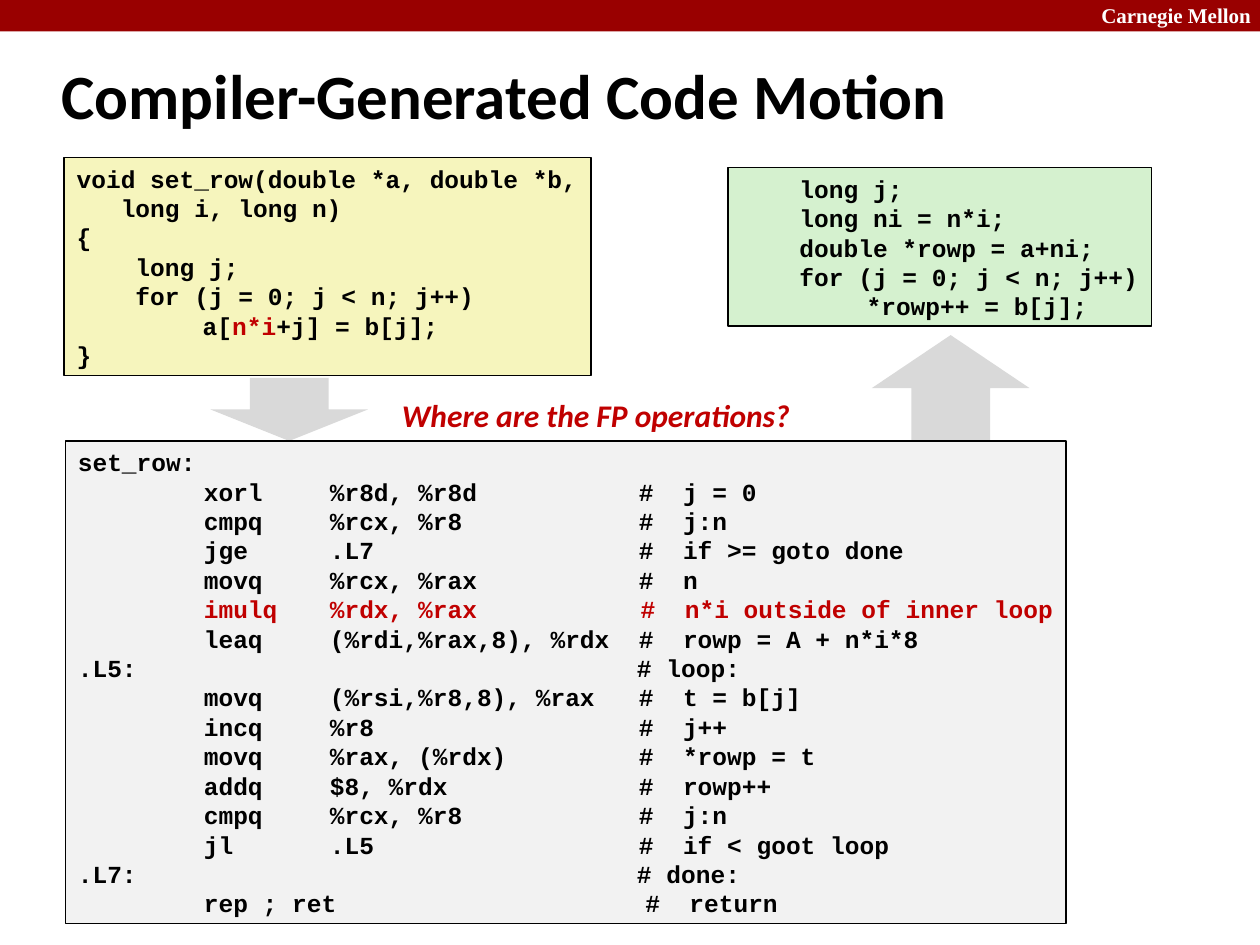
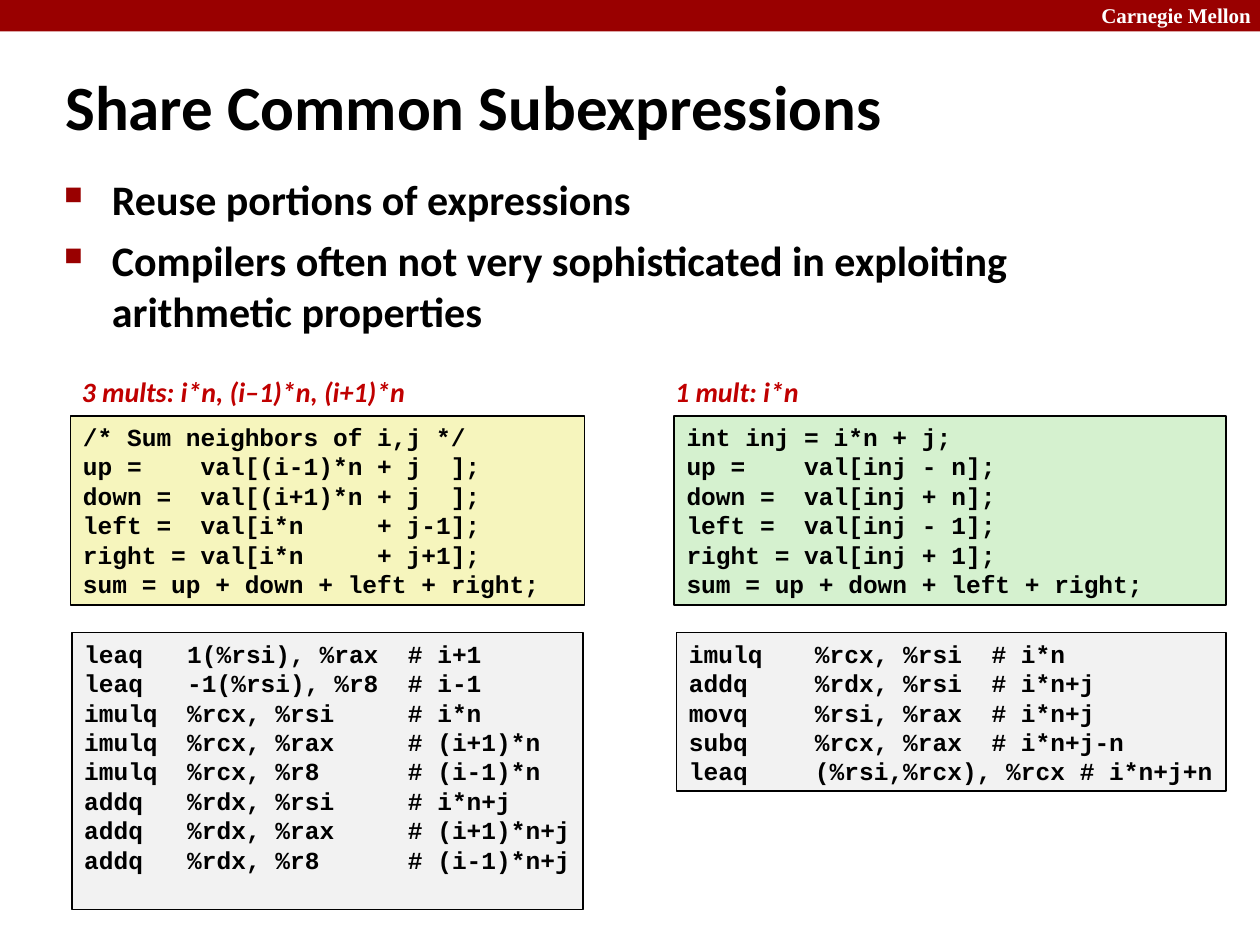
from lxml import etree
from pptx import Presentation, util as u
from pptx.dml.color import RGBColor
from pptx.enum import shapes, text
from pptx.oxml.ns import qn

BAND = RGBColor(0x99, 0x00, 0x00)
RED = RGBColor(0xC0, 0x00, 0x00)
BLACK = RGBColor(0x00, 0x00, 0x00)
WHITE = RGBColor(0xFF, 0xFF, 0xFF)
CREAM = RGBColor(0xF6, 0xF5, 0xBD)
GREEN = RGBColor(0xD5, 0xF1, 0xCF)
PALE = RGBColor(0xF2, 0xF2, 0xF2)
GREY = RGBColor(0xD9, 0xD9, 0xD9)

KIND = shapes.MSO_SHAPE
TOP = text.MSO_ANCHOR.TOP
MID = text.MSO_ANCHOR.MIDDLE

BRAND = dict(name="Times New Roman", size=u.Pt(12), bold=True)
TITLE = dict(name="Calibri", size=u.Pt(36), bold=True)
BODY = dict(name="Calibri", size=u.Pt(24), bold=True)
ASK = dict(name="Calibri", size=u.Pt(18), bold=True, italic=True)
NOTE = dict(name="Calibri", size=u.Pt(16), bold=True, italic=True)
CODE = dict(name="Courier New", size=u.Pt(14), bold=True)

deck = Presentation()
deck.slide_width, deck.slide_height = u.Inches(10), u.Inches(7.5)
CELL = deck.slide_width / 100


def draw(page, kind, area, fill, edge=False):
    form = page.shapes.add_shape(kind, *[int(n * CELL) for n in area])
    form.shadow.inherit = False
    form.fill.solid()
    form.fill.fore_color.rgb = fill
    if edge:
        form.line.color.rgb = BLACK
        form.line.width = u.Pt(1)
    else:
        form.line.fill.background()
    return form


def write(page, area, words, look, ink=BLACK, fill=None, wrap=False,
          anchor=TOP, side=1, head=0.5):
    if fill is None:
        form = page.shapes.add_textbox(*[int(n * CELL) for n in area])
    else:
        form = draw(page, KIND.RECTANGLE, area, fill, True)
    frame = form.text_frame
    setup = dict(word_wrap=wrap, vertical_anchor=anchor,
                 margin_left=int(side * CELL), margin_right=int(side * CELL),
                 margin_top=int(head * CELL), margin_bottom=int(0.5 * CELL))
    for key, val in setup.items():
        setattr(frame, key, val)
    for row, line in enumerate(words.split("\n")):
        para = frame.add_paragraph() if row else frame.paragraphs[0]
        para.alignment = text.PP_ALIGN.LEFT
        if "\t" in line:
            tabs = etree.SubElement(para._p.get_or_add_pPr(), qn("a:tabLst"))
            for stop in range(1, 8):
                etree.SubElement(tabs, qn("a:tab"), pos=str(u.Inches(stop)), algn="l")
        for turn, part in enumerate(line.split("|")):
            if part:
                run = para.add_run()
                run.text = part
                for key, val in look.items():
                    setattr(run.font, key, val)
                run.font.color.rgb = RED if turn % 2 else ink
    return frame


pages = []
for name, area in [("Compiler-Generated Code Motion", (3.9, 3.3, 83, 8.3)),
                   ("Share Common Subexpressions", (4.2, 2.6, 91.7, 11.6))]:
    page = deck.slides.add_slide(deck.slide_layouts[6])
    draw(page, KIND.RECTANGLE, (0, 0, 100, 2.5), BAND)
    write(page, (86.9, 0, 13.1, 2.5), "Carnegie Mellon", BRAND, WHITE, side=0.5, head=0.2)
    write(page, area, name, TITLE, wrap=True, anchor=MID)
    pages.append(page)
motion, share = pages

draw(motion, KIND.UP_ARROW, (69.2, 26.6, 12.5, 8.4), GREY)
draw(motion, KIND.DOWN_ARROW, (16.7, 30, 12.5, 5), GREY)

write(motion, (5.2, 35, 79.4, 38.3), """set_row:
\txorl\t%r8d, %r8d           #  j = 0
\tcmpq\t%rcx, %r8            #  j:n
\tjge\t.L7                  #  if >= goto done
\tmovq\t%rcx, %rax           #  n
\t|imulq\t%rdx, %rax\t    #  n*i outside of inner loop|
\tleaq\t(%rdi,%rax,8), %rdx  #  rowp = A + n*i*8
.L5:                                  # loop:
\tmovq\t(%rsi,%r8,8), %rax   #  t = b[j]
\tincq\t%r8                  #  j++
\tmovq\t%rax, (%rdx)         #  *rowp = t
\taddq\t$8, %rdx             #  rowp++
\tcmpq\t%rcx, %r8            #  j:n
\tjl\t.L5                  #  if < goot loop
.L7:                                  # done:
\trep ; ret                     #  return""", CODE, fill=PALE)

write(motion, (57.8, 13.3, 33.6, 12.6), """    long j;
    long ni = n*i;
    double *rowp = a+ni;
    for (j = 0; j < n; j++)
\t*rowp++ = b[j];""", CODE, fill=GREEN)

write(motion, (31.4, 30.9, 36, 4), "Where are the FP operations?", ASK, RED, wrap=True, side=0.5)

write(motion, (5.1, 12.5, 41.8, 17.3), """void set_row(double *a, double *b,
   long i, long n)
{
    long j;
    for (j = 0; j < n; j++)
\ta[|n*i|+j] = b[j];
}""", CODE, fill=CREAM)

points = write(share, (4.1, 13.3, 90.9, 16.7), """Reuse portions of expressions
Compilers often not very sophisticated in exploiting arithmetic properties""", BODY, wrap=True)
for para in points.paragraphs:
    props = para._p.get_or_add_pPr()
    props.set("marL", str(u.Inches(0.38)))
    props.set("indent", str(u.Inches(-0.38)))
    tint = etree.SubElement(props, qn("a:buClr"))
    etree.SubElement(tint, qn("a:srgbClr"), val=str(BAND))
    etree.SubElement(props, qn("a:buSzPct"), val="60000")
    etree.SubElement(props, qn("a:buChar"), char="■")
points.paragraphs[1].space_before = u.Pt(6)

write(share, (5.6, 33, 40.8, 15), """/* Sum neighbors of i,j */
up =    val[(i-1)*n + j  ];
down =  val[(i+1)*n + j  ];
left =  val[i*n     + j-1];
right = val[i*n     + j+1];
sum = up + down + left + right;""", CODE, fill=CREAM, wrap=True)

write(share, (53.5, 33, 43.8, 15), """int inj = i*n + j;
up =    val[inj - n];
down =  val[inj + n];
left =  val[inj - 1];
right = val[inj + 1];
sum = up + down + left + right;""", CODE, fill=GREEN, wrap=True)

for left, width, words in [(5.5, 30, "3 mults: i*n, (i–1)*n, (i+1)*n"),
                           (52.6, 15, "1 mult: i*n")]:
    write(share, (left, 29.2, width, 3.6), words, NOTE, RED, wrap=True)

write(share, (5.7, 50.2, 40.6, 22), """leaq   1(%rsi), %rax  # i+1
leaq   -1(%rsi), %r8  # i-1
imulq  %rcx, %rsi     # i*n
imulq  %rcx, %rax     # (i+1)*n
imulq  %rcx, %r8      # (i-1)*n
addq   %rdx, %rsi     # i*n+j
addq   %rdx, %rax     # (i+1)*n+j
addq   %rdx, %r8      # (i-1)*n+j""", CODE, fill=PALE)

write(share, (53.7, 50.2, 43.6, 12.6), """imulq\t%rcx, %rsi  # i*n
addq\t%rdx, %rsi  # i*n+j
movq\t%rsi, %rax  # i*n+j
subq\t%rcx, %rax  # i*n+j-n
leaq\t(%rsi,%rcx), %rcx # i*n+j+n""", CODE, fill=PALE)

deck.save("out.pptx")
